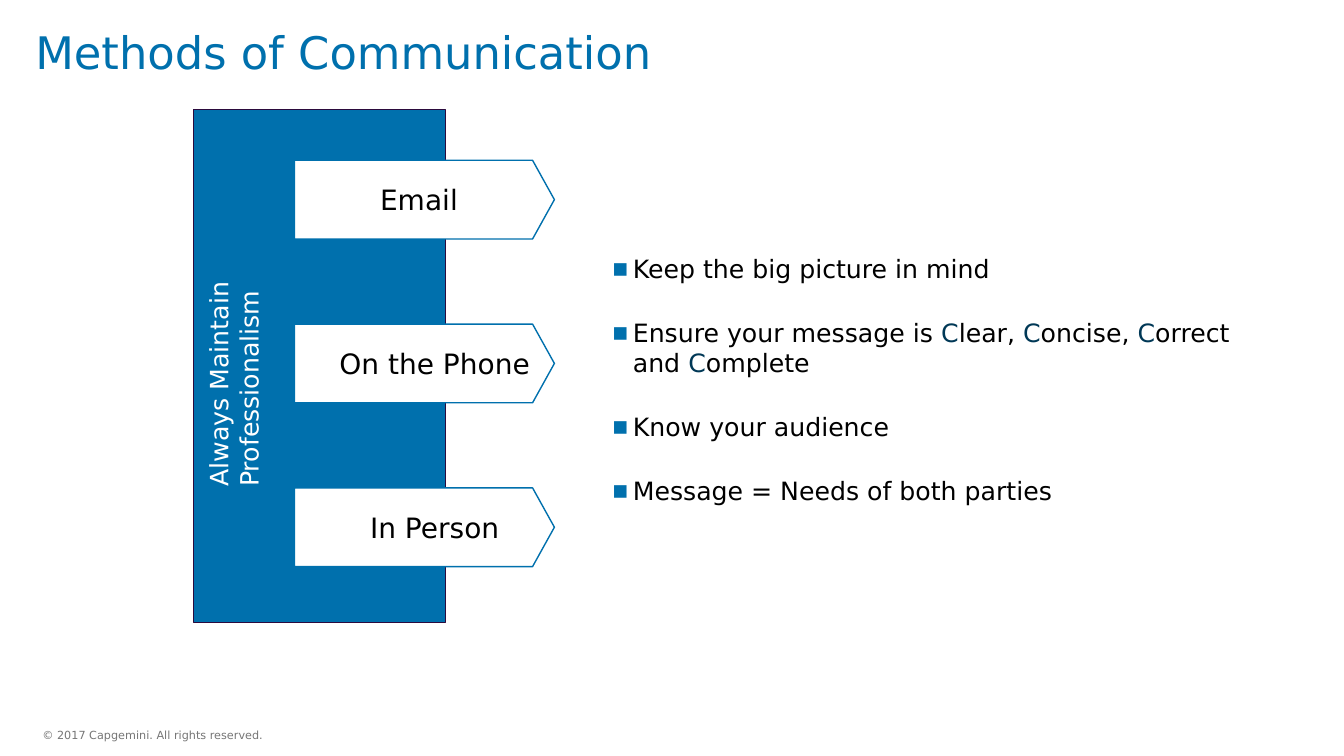
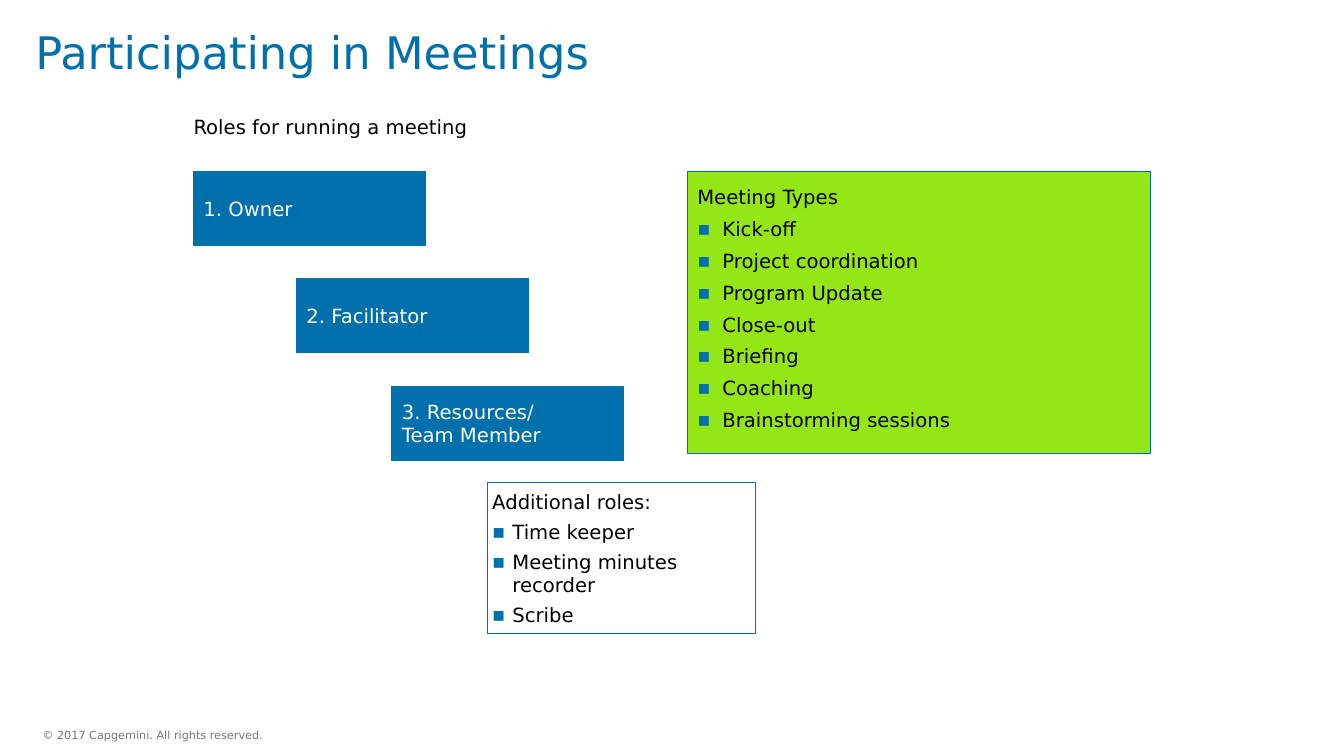
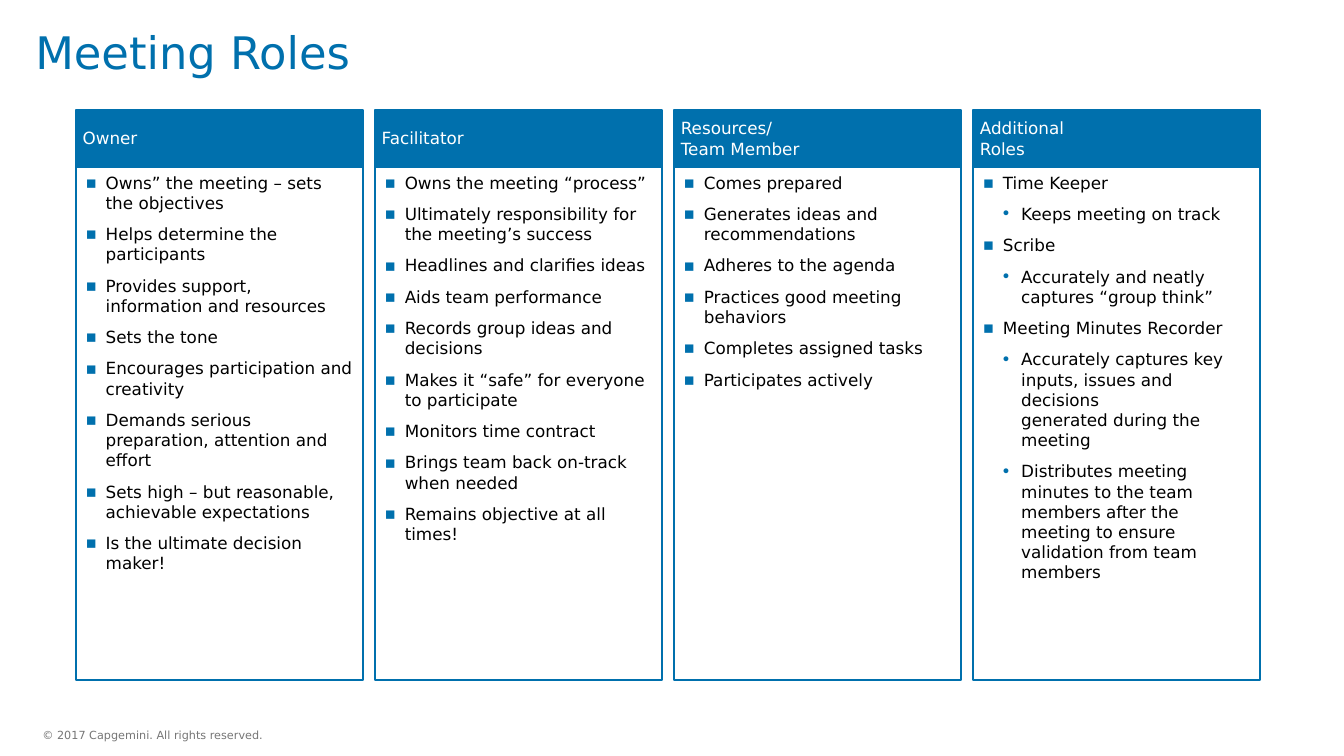
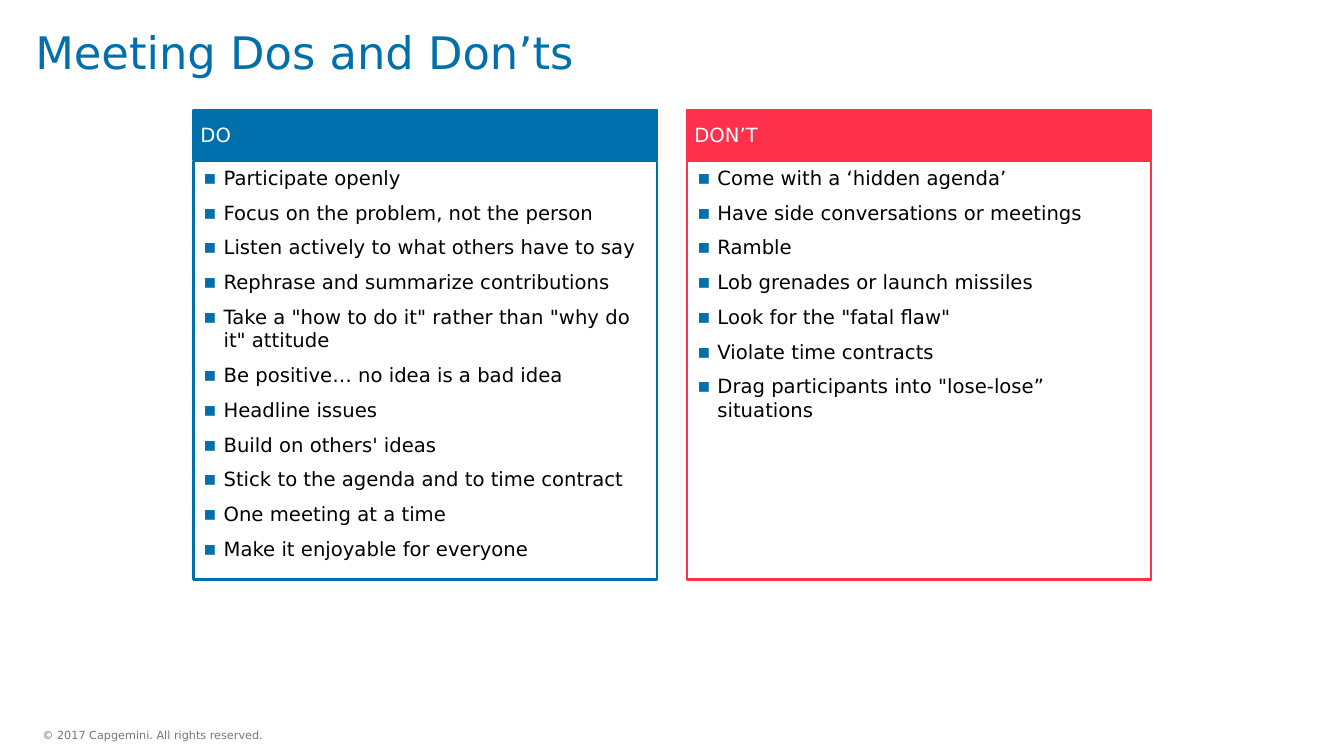
import pptx
import pptx.util
import pptx.dml.color
import pptx.enum.shapes
import pptx.enum.text
import pptx.oxml.ns
from lxml import etree

Pt = pptx.util.Pt
qn = pptx.oxml.ns.qn
SHAPE = pptx.enum.shapes.MSO_SHAPE
ANCHOR = pptx.enum.text.MSO_ANCHOR
ALIGN = pptx.enum.text.PP_ALIGN


def rgb(value):
    return pptx.dml.color.RGBColor.from_string(value)


class Deck:
    FONT = "DejaVu Sans"
    BLUE = "0070AD"
    NAVY = "003856"
    PURPLE = "2B0A3D"
    GREEN = "95E616"
    RED = "FF304C"
    GREY = "767676"
    BLACK = "000000"
    WHITE = "FFFFFF"
    LEFT = 138.25
    TOP = 78.5
    RIGHT_PANEL = 491
    PANEL_WIDTH = 331.2
    INSETS = (7.2, 3.6, 7.2, 3.6)

    def __init__(self):
        self.prs = pptx.Presentation()
        self.prs.slide_width = Pt(960)
        self.prs.slide_height = Pt(540)
        self.s = None

    def slide(self, title):
        self.s = self.prs.slides.add_slide(self.prs.slide_layouts[6])
        tf = self.text_box(30.25, 516.25, 175, 17.25, (0, 0, 0, 0), ANCHOR.MIDDLE)
        self.para(tf, "© 2017 Capgemini. All rights reserved.", 8, self.GREY)
        tf = self.text_box(25.2, 16.5, 915, 43.2, (0, 3.6, 7.2, 3.6), ANCHOR.BOTTOM)
        p = self.para(tf, title, 32, self.BLUE)
        p.line_spacing = Pt(30)

    def frame(self, sp, insets, anchor):
        tf = sp.text_frame
        tf.word_wrap = True
        tf.vertical_anchor = anchor
        tf.margin_left, tf.margin_top, tf.margin_right, tf.margin_bottom = map(Pt, insets)
        return tf

    def text_box(self, x, y, w, h, insets=INSETS, anchor=ANCHOR.TOP, rotation=0):
        sp = self.s.shapes.add_textbox(Pt(x), Pt(y), Pt(w), Pt(h))
        sp.rotation = rotation
        return self.frame(sp, insets, anchor)

    def box(self, x, y, w, h, fill=None, line=BLUE, weight=0.75, insets=INSETS,
            anchor=ANCHOR.MIDDLE, kind=SHAPE.RECTANGLE, point=None):
        sp = self.s.shapes.add_shape(kind, Pt(x), Pt(y), Pt(w), Pt(h))
        sp.shadow.inherit = False
        if point:
            sp.adjustments[0] = point
        if fill:
            sp.fill.solid()
            sp.fill.fore_color.rgb = rgb(fill)
        else:
            sp.fill.background()
        sp.line.color.rgb = rgb(line)
        sp.line.width = Pt(weight)
        return self.frame(sp, insets, anchor)

    def para(self, tf, text, size, color=BLACK, align=ALIGN.LEFT, bullet=None,
             left=0, hang=0, before=0, after=0):
        p = tf.paragraphs[0]
        if p.runs:
            p = tf.add_paragraph()
            p.space_before = Pt(before)
        p.space_after = Pt(after)
        p.alignment = align
        pPr = p._p.get_or_add_pPr()
        pPr.set("marL", str(int(Pt(left))))
        pPr.set("indent", str(-int(Pt(hang))))
        if bullet:
            clr = etree.SubElement(pPr, qn("a:buClr"))
            etree.SubElement(clr, qn("a:srgbClr")).set("val", self.BLUE)
            etree.SubElement(pPr, qn("a:buFont")).set("typeface", self.FONT)
            etree.SubElement(pPr, qn("a:buChar")).set("char", bullet)
        if isinstance(text, str):
            p.text = text
            colors = [color] * len(p.runs)
        else:
            colors = [c for _, c in text]
            for part, _ in text:
                p.add_run().text = part
        for r, c in zip(p.runs, colors):
            r.font.name = self.FONT
            r.font.size = Pt(size)
            r.font.color.rgb = rgb(c)
        for br in p._p.findall(qn("a:br")):
            etree.SubElement(br, qn("a:rPr")).set("sz", str(size * 100))
        return p

    def bullets(self, tf, items, size, left=14.4, hang=14.4, before=0, after=0):
        for item in items:
            if isinstance(item, tuple):
                for sub in item:
                    self.para(tf, sub, size, bullet="•", left=left + 13,
                              hang=hang, before=before, after=after)
            else:
                self.para(tf, item, size, bullet="▪", left=left, hang=hang,
                          before=before, after=after)

    def panel(self, x, w, head_h, body_h, heads, items, size, color=BLUE):
        tf = self.box(x, self.TOP + head_h + 0.5, w, body_h, self.WHITE, color, 1.5,
                      anchor=ANCHOR.TOP)
        self.bullets(tf, items, size, after=8)
        tf = self.box(x, self.TOP, w, head_h, color, color, 1.5, (5, 2.2, 5, 2.2))
        for head in heads:
            self.para(tf, head, size, self.WHITE)


def methods(d):
    d.slide("Methods of Communication")
    d.box(d.LEFT, d.TOP, 180, 366, d.BLUE, d.PURPLE)
    for i, (label, left) in enumerate([("Email", 0), ("On the Phone", 22.5), ("In Person", 22.5)]):
        tf = d.box(210.25, 114.5 + 117 * i, 185.75, 56.2, d.WHITE, weight=1,
                   kind=SHAPE.PENTAGON, point=0.277)
        d.para(tf, label, 20, align=ALIGN.CENTER, left=left)
    message = [("Ensure your message is ", d.BLACK)]
    for rest in ("lear, ", "oncise, ", "orrect and ", "omplete"):
        message += [("C", d.NAVY), (rest, d.BLACK)]
    tf = d.text_box(430, 177.25, 488, 225.5)
    d.bullets(tf, ["Keep the big picture in mind", message, "Know your audience",
                   "Message = Needs of both parties"], 18, 15, 15, after=24)
    tf = d.text_box(59, 236.25, 216, 51, rotation=270)
    d.para(tf, "Always Maintain Professionalism", 18, d.WHITE, left=15)


def participating(d):
    d.slide("Participating in Meetings")
    tf = d.text_box(d.LEFT, d.TOP, 360, 24.5, (0, 3.6, 7.2, 3.6))
    d.para(tf, "Roles for running a meeting", 14)
    roles = [(d.LEFT, ["1. Owner"]), (211.75, ["2. Facilitator"]),
             (280, ["3. Resources/", "Team Member"])]
    for i, (x, lines) in enumerate(roles):
        tf = d.box(x, 122.5 + 76.7 * i, 165.6, 52.8, d.BLUE)
        for line in lines:
            d.para(tf, line, 14, d.WHITE)
    tf = d.box(348, 345, 192, 107.5, insets=(3.6, 3.6, 7.2, 3.6))
    d.para(tf, "Additional roles:", 14, left=14.4, hang=14.4)
    d.bullets(tf, ["Time keeper", "Meeting minutes recorder", "Scribe"], 14, before=4.6)
    tf = d.box(d.RIGHT_PANEL, 122.5, d.PANEL_WIDTH, 201.6, d.GREEN,
               insets=(7.2, 9.4, 7.2, 9.4), anchor=ANCHOR.TOP)
    d.para(tf, "Meeting Types", 14, after=6)
    d.bullets(tf, ["Kick-off", "Project coordination", "Program Update", "Close-out",
                   "Briefing", "Coaching", "Brainstorming sessions"], 14, 18, 18, after=6)


def meeting_roles(d):
    d.slide("Meeting Roles")
    columns = [
        (["Owner"], [
            "Owns” the meeting – sets the objectives",
            "Helps determine the participants",
            "Provides support, information and resources",
            "Sets the tone",
            "Encourages participation and creativity",
            "Demands serious preparation, attention and effort",
            "Sets high – but reasonable, achievable expectations",
            "Is the ultimate decision maker!"]),
        (["Facilitator"], [
            "Owns the meeting “process”",
            "Ultimately responsibility for the meeting’s success",
            "Headlines and clarifies ideas",
            "Aids team performance",
            "Records group ideas and decisions",
            "Makes it “safe” for everyone to participate",
            "Monitors time contract",
            "Brings team back on-track when needed",
            "Remains objective at all times!"]),
        (["Resources/", "Team Member"], [
            "Comes prepared",
            "Generates ideas and recommendations",
            "Adheres to the agenda",
            "Practices good meeting behaviors",
            "Completes assigned tasks",
            "Participates actively"]),
        (["Additional", "Roles"], [
            "Time Keeper",
            ("Keeps meeting on track",),
            "Scribe",
            ("Accurately and neatly captures “group think”",),
            "Meeting Minutes Recorder",
            ("Accurately captures key inputs, issues and decisions \vgenerated during the meeting",
             "Distributes meeting minutes to the team members after the meeting "
             "to ensure validation from team members")]),
    ]
    for i, (heads, items) in enumerate(columns):
        d.panel(54 + 213.65 * i, 205.2, 40.5, 366.5, heads, items, 12)


def dos_and_donts(d):
    d.slide("Meeting Dos and Don’ts")
    dos = [
        "Participate openly",
        "Focus on the problem, not the person",
        "Listen actively to what others have to say",
        "Rephrase and summarize contributions",
        "Take a \"how to do it\" rather than \"why do it\" attitude",
        "Be positive… no idea is a bad idea",
        "Headline issues",
        "Build on others' ideas",
        "Stick to the agenda and to time contract",
        "One meeting at a time",
        "Make it enjoyable for everyone"]
    donts = [
        "Come with a ‘hidden agenda’",
        "Have side conversations or meetings",
        "Ramble",
        "Lob grenades or launch missiles",
        "Look for the \"fatal flaw\"",
        "Violate time contracts",
        "Drag participants into \"lose-lose” situations"]
    for x, head, items, color in [(d.LEFT, "DO", dos, d.BLUE),
                                  (d.RIGHT_PANEL, "DON’T", donts, d.RED)]:
        d.panel(x, d.PANEL_WIDTH, 36, 299, [head], items, 14, color)


def main():
    d = Deck()
    for build in (methods, participating, meeting_roles, dos_and_donts):
        build(d)
    d.prs.save("out.pptx")


if __name__ == "__main__":
    main()
